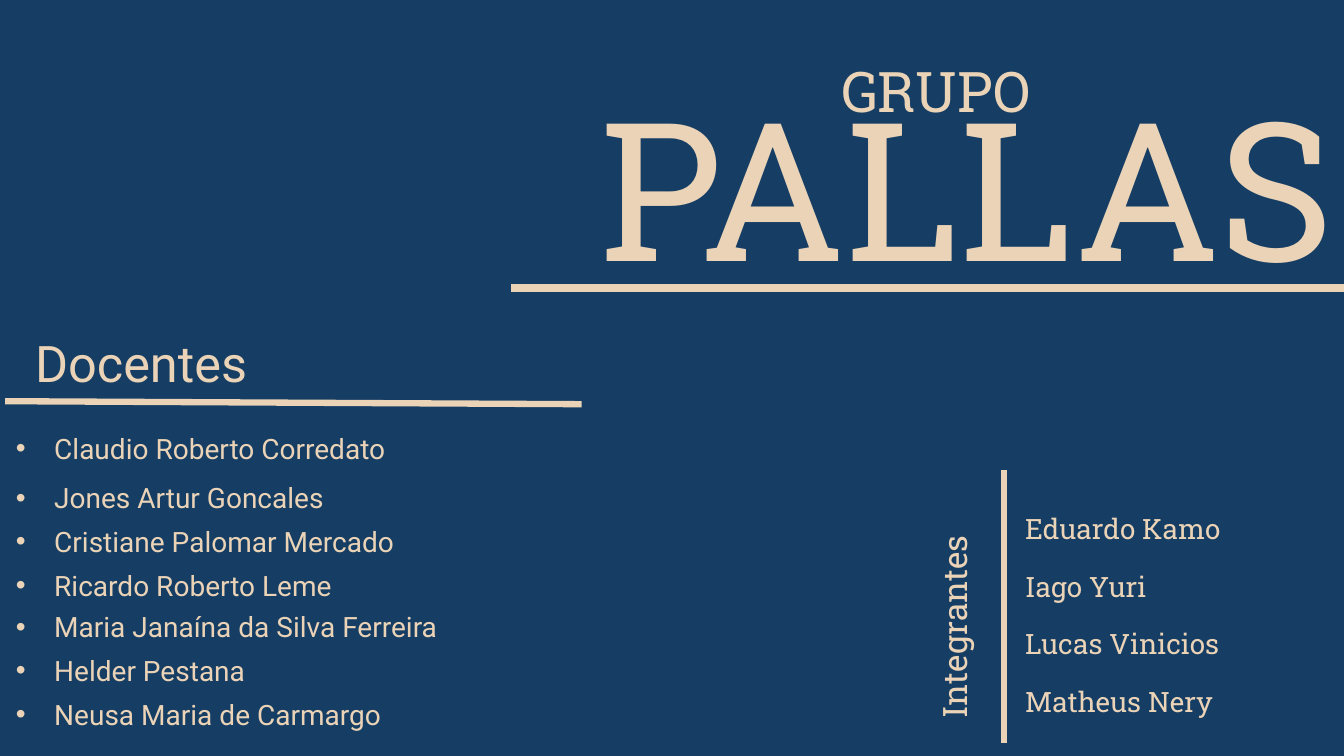
"""Builds the team slide with its teachers and members."""
import pptx
import pptx.util
import pptx.dml.color
import pptx.enum.shapes
import pptx.enum.text
import pptx.oxml.ns
import lxml.etree

NAVY = pptx.dml.color.RGBColor(0x16, 0x3E, 0x64)
SAND = pptx.dml.color.RGBColor(0xEB, 0xD3, 0xB7)
SANS, SLAB = "Roboto", "Roboto Slab"
WIDTH, HEIGHT = 13.33, 7.5

TEACHERS = [
    ("Claudio Roberto Corredato", 4.23),
    ("Jones Artur Goncales", 4.72),
    ("Cristiane Palomar Mercado", 5.15),
    ("Ricardo Roberto Leme", 5.59),
    ("Maria Janaína da Silva Ferreira", 6.0),
    ("Helder Pestana", 6.43),
    ("Neusa Maria de Carmargo", 6.87),
]
MEMBERS = ["Eduardo Kamo", "Iago Yuri", "Lucas Vinicios", "Matheus Nery"]
RULES = [
    ((5.07, 2.86), (WIDTH, 2.86), 6),
    ((9.96, 4.66), (9.96, 7.37), 4.5),
    ((0.05, 3.98), (5.77, 4.01), 4.5),
]
MEMBER_TOP, MEMBER_STEP = 5.03, 0.57
ROW_HEIGHT, INDENT = 0.44, 0.38


def add_text(page, text, frame, size=20, font=SANS, align="LEFT", bullet=False, upward=False):
    box = page.shapes.add_textbox(*(pptx.util.Inches(part) for part in frame))
    box.text_frame.word_wrap = True
    if upward:
        box.text_frame._txBody.bodyPr.set("vert", "vert270")
    para = box.text_frame.paragraphs[0]
    para.alignment = getattr(pptx.enum.text.PP_ALIGN, align)
    if bullet:
        props = para._p.get_or_add_pPr()
        props.set("marL", str(pptx.util.Inches(INDENT)))
        props.set("indent", str(-pptx.util.Inches(INDENT)))
        face = lxml.etree.SubElement(props, pptx.oxml.ns.qn("a:buFont"))
        face.set("typeface", "Arial")
        lxml.etree.SubElement(props, pptx.oxml.ns.qn("a:buChar")).set("char", "•")
    span = para.add_run()
    span.text = text
    span.font.size = pptx.util.Pt(size)
    span.font.name = font
    span.font.color.rgb = SAND


def add_rule(page, start, end, weight):
    rule = page.shapes.add_connector(
        pptx.enum.shapes.MSO_CONNECTOR.STRAIGHT,
        *(pptx.util.Inches(part) for part in start + end))
    rule.line.color.rgb = SAND
    rule.line.width = pptx.util.Pt(weight)
    lxml.etree.SubElement(rule._element.spPr, pptx.oxml.ns.qn("a:effectLst"))


def main():
    deck = pptx.Presentation()
    deck.slide_width = pptx.util.Inches(WIDTH)
    deck.slide_height = pptx.util.Inches(HEIGHT)
    page = deck.slides.add_slide(deck.slide_layouts[6])
    page.background.fill.solid()
    page.background.fill.fore_color.rgb = NAVY

    add_text(page, "PALLAS", (4.81, 0.63, 8.52, 2.42), size=138, font=SLAB, align="RIGHT")
    add_text(page, "GRUPO", (7.82, 0.51, 2.5, 0.77), size=40, font=SLAB, align="RIGHT")
    for start, end, weight in RULES:
        add_rule(page, start, end, weight)

    add_text(page, "Docentes", (0.25, 3.25, 4.8, 0.7), size=36)
    for name, top in TEACHERS:
        add_text(page, name, (0.06, top, 5.04, ROW_HEIGHT), bullet=True)

    add_text(page, "Integrantes", (9.21, 4.75, 0.61, 2.48), size=24, font=SLAB, upward=True)
    for row, name in enumerate(MEMBERS):
        top = MEMBER_TOP + row * MEMBER_STEP
        add_text(page, name, (10.07, top, 2.6, ROW_HEIGHT), font=SLAB)

    deck.save("out.pptx")


if __name__ == "__main__":
    main()
